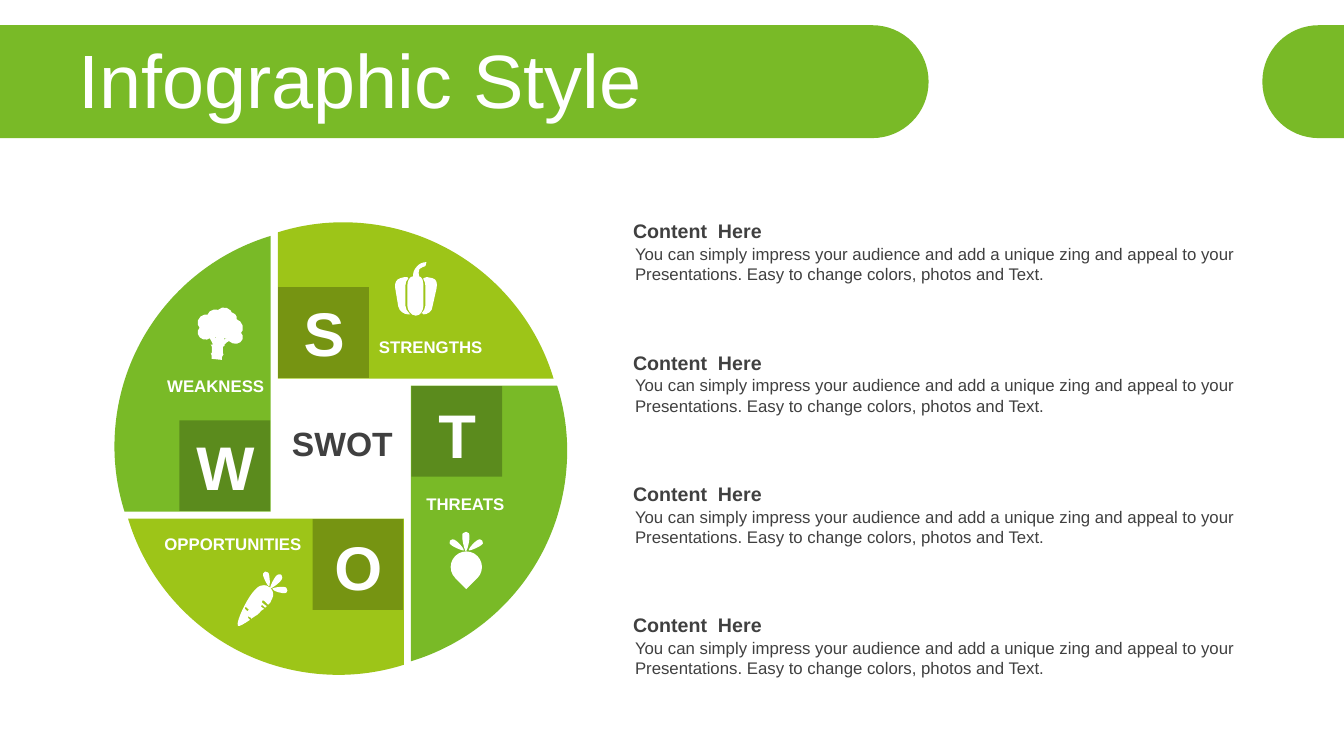
from dataclasses import dataclass

import lxml.etree
import pptx
import pptx.dml.color
import pptx.enum.shapes
import pptx.enum.text
import pptx.oxml.ns
import pptx.util

SHAPE = pptx.enum.shapes.MSO_SHAPE
ALIGN = pptx.enum.text.PP_ALIGN
ANCHOR = pptx.enum.text.MSO_ANCHOR
qn = pptx.oxml.ns.qn
inches = pptx.util.Inches


@dataclass(frozen=True)
class Theme:
    font: str = "Arial"
    green: str = "79BA27"
    lime: str = "9DC518"
    dark_green: str = "5B8B1D"
    olive: str = "769412"
    white: str = "FFFFFF"
    ink: str = "404040"
    title: int = 54
    letter: int = 44
    hub: int = 24
    heading: int = 14
    body: int = 12


THEME = Theme()
WIDTH, HEIGHT = 13.33, 7.5

# Outlines in hundredths of an inch: M move, L line, C curve
LEFT_BAND = "M 0 0 L 865 0 C 896 0 921 25 921 56 C 921 87 896 112 865 112 L 0 112"
RIGHT_BAND = "M 1333 0 L 1333 112 L 1308 112 C 1277 112 1252 87 1252 56 C 1252 25 1277 0 1308 0"
PETAL = ("M -62.5 -69.5 L -62.5 -214.5 C -42 -221 -20 -224.5 2 -224.5 "
         "C 101 -224.5 184 -159 211 -69.5")
CARROT = [
    "M 9 36 C 8 35 7 35 7 36 C 7 36 7 37 7 37 L 9 39 C 9 39 10 39 10 39 C 11 38 11 37 10 37 "
    "M 32 16 C 34 18 35 20 35 24 C 35 26 33 28 32 31 L 30 33 L 29 32 L 26 29 "
    "C 25 29 25 29 24 29 C 24 30 24 30 24 31 L 28 34 L 29 34 L 27 36 L 25 34 "
    "C 24 33 24 33 23 34 C 23 34 23 35 23 35 L 26 37 L 23 39 C 21 42 18 44 16 45 L 13 47 "
    "C 13 47 13 46 13 46 L 11 45 C 11 44 10 44 10 45 C 10 45 10 46 10 46 L 12 48 "
    "C 6 52 1 55 0 54 C -3 51 13 16 23 14 C 27 13 30 14 32 16",
    "M 40 3 C 43 2 44 4 44 6 C 44 10 33 17 32 17 C 31 16 37 3 40 3",
    "M 48 16 C 50 18 49 20 48 21 C 45 23 34 19 34 17 C 34 16 46 14 48 16",
    "M 30 1 C 28 -1 26 0 25 2 C 24 5 30 15 31 15 C 32 15 32 3 30 1",
]
BROCCOLI_STEM = [
    "M 26 24 C 26 27 26 30 26 32 C 28 31 29 30 32 29 C 33 30 34 31 35 32 C 30 33 27 36 26 38 "
    "C 26 38 26 38 27 38 C 26 38 26 39 25 39 L 25 46 C 25 46 25 46 26 46 C 24 48 24 50 24 52 "
    "L 14 51 C 14 48 14 47 13 45 C 14 45 14 45 14 46 C 14 43 15 38 13 37 L 15 37 "
    "C 15 36 14 33 10 28 L 15 26 C 17 28 17 30 18 31 L 20 23",
]
BROCCOLI_FLORETS = [
    (10, 16, 16, 14), (19, 17, 16, 14), (29, 22, 16, 14), (26, 11, 19, 18), (27, 5, 12, 11),
    (17, 0, 18, 19), (9, 2, 18, 17), (0, 7, 18, 17), (0, 18, 15, 14), (14, 16, 15, 12),
]
RADISH_LEAVES = [
    "M 12 2 C 14 0 17 0 18 2 C 20 5 17 19 15 20 C 14 20 10 5 12 2",
    "M 29 8 C 31 8 32 10 32 12 C 31 15 18 20 18 19 C 17 18 25 8 29 8",
    "M 2 8 C 0 8 -2 10 -1 12 C 0 15 13 20 13 19 C 14 18 6 8 2 8",
]
RADISH_ROOT = (0, 20, 31, 31)
PEPPER = [
    "M 12 24 C 12 19 14 14 18 14 L 23 14 C 27 14 28 19 28 24 L 28 43 C 28 48 25 53 21 53 "
    "L 20 53 C 16 53 12 48 12 43",
    "M 18 15 C 17 11 19 7 21 5 C 23 2 27 0 31 0 L 30 4 C 28 4 26 6 24 7 "
    "C 23 9 23 12 24 15 C 22 15 19 14 18 15",
    "M 11 15 L 12 15 L 13 16 C 11 18 10 21 10 24 L 10 43 C 10 46 12 49 14 51 L 15 52 L 13 52 "
    "C 9 52 4 49 3 44 L 0 26 C -1 21 1 17 5 16 L 9 15",
    "M 31 15 L 32 15 L 37 16 C 41 17 42 21 41 26 L 37 44 C 37 49 32 52 28 52 L 27 51 L 26 51 "
    "C 28 49 30 46 30 43 L 30 24 C 30 21 29 19 28 17 L 28 16",
]


def paint(shape, colour):
    shape.shadow.inherit = False
    shape.fill.solid()
    shape.fill.fore_color.rgb = pptx.dml.color.RGBColor.from_string(colour)
    shape.line.fill.background()


def preset(slide, kind, left, top, width, height, colour, turn=0):
    shape = slide.shapes.add_shape(kind, *map(inches, (left, top, width, height)))
    shape.rotation = turn
    paint(shape, colour)


def turned(x, y, quarters):
    for _ in range(quarters):
        x, y = -y, x
    return x, y


def outline(slide, drawing, left, top, colour, quarters=0):
    """Fill an M/L/C drawing, turned about its zero point, which lies at left, top."""
    contours, words = [], iter(drawing.split())
    for command in words:
        corners = [turned(float(next(words)) / 100, float(next(words)) / 100, quarters)
                   for _ in range(3 if command == "C" else 1)]
        segment = [(inches(left + x), inches(top + y)) for x, y in corners]
        if command == "M":
            contours.append([])
        contours[-1].append(segment)

    builder = slide.shapes.build_freeform(*contours[0][0][-1], scale=1.0)
    for number, segments in enumerate(contours):
        if number:
            builder.move_to(*segments[0][-1])
        builder.add_line_segments([segment[-1] for segment in segments[1:]], close=True)
    shape = builder.convert_to_shape()

    # Bend the straight segments that have control points
    pen = next(shape._element.iter(qn("a:path")))
    drawn = [segment for segments in contours for segment in segments[1:]]
    for line, segment in zip(pen.findall(qn("a:lnTo")), drawn):
        if len(segment) == 3:
            curve = lxml.etree.SubElement(pen, qn("a:cubicBezTo"))
            for x, y in segment:
                lxml.etree.SubElement(curve, qn("a:pt"), x=str(x - shape.left),
                                      y=str(y - shape.top))
            pen.replace(line, curve)
    paint(shape, colour)


def write(frame, words, size, colour, bold=False, align=ALIGN.LEFT, anchor=ANCHOR.TOP):
    frame.word_wrap = True
    frame.auto_size = pptx.enum.text.MSO_AUTO_SIZE.NONE
    frame.vertical_anchor = anchor
    frame.text = words
    line = frame.paragraphs[0]
    line.alignment = align
    font = line.runs[0].font
    font.name, font.size, font.bold = THEME.font, pptx.util.Pt(size), bold
    font.color.rgb = pptx.dml.color.RGBColor.from_string(colour)


def label(slide, box, *text, **style):
    write(slide.shapes.add_textbox(*map(inches, box)).text_frame, *text, **style)


def header(slide, top):
    for band in (LEFT_BAND, RIGHT_BAND):
        outline(slide, band, 0, top, THEME.green)
    # Title, brought in front of the bands
    title = slide.shapes.title
    title.left, title.top, title.width, title.height = map(
        inches, (0.68, top + 0.19, 12.33, 0.79))
    write(title.text_frame, "Infographic Style", THEME.title, THEME.white, anchor=ANCHOR.MIDDLE)
    title.text_frame.paragraphs[0].line_spacing = 0.9
    slide.shapes._spTree.append(title._element)


def swot_wheel(slide, x, y):
    """Four petals, each a quarter turn on from the last, around x, y."""
    for quarters in range(4):
        outline(slide, PETAL, x, y, (THEME.lime, THEME.green)[quarters % 2], quarters)

    # Letter squares
    side = 0.9
    for quarters, (letter, drop) in enumerate([("S", 0), ("T", 0.03), ("O", 0.02), ("W", 0.01)]):
        dx, dy = turned(-0.17, -1.15, quarters)
        preset(slide, SHAPE.RECTANGLE, x + dx - side / 2, y + dy - side / 2, side, side,
               (THEME.olive, THEME.dark_green)[quarters % 2])
        label(slide, (x + dx - 0.4, y + dy - 0.42 + drop, 0.81, 0.84), letter,
              THEME.letter, THEME.white, bold=True, align=ALIGN.CENTER)

    # Petal names and hub
    for name, dx, dy, width, align in [("STRENGTHS", 0.28, -1.16, 1.76, ALIGN.LEFT),
                                       ("WEAKNESS", -2.29, -0.77, 1.63, ALIGN.RIGHT),
                                       ("OPPORTUNITIES", -1.99, 0.8, 1.7, ALIGN.RIGHT),
                                       ("THREATS", 0.75, 0.4, 1.55, ALIGN.LEFT)]:
        label(slide, (x + dx, y + dy, width, 0.31), name, THEME.body, THEME.white,
              bold=True, align=align)
    label(slide, (x - 0.63, y - 0.3, 1.29, 0.52), "SWOT", THEME.hub, THEME.ink,
          bold=True, align=ALIGN.CENTER)

    # Vegetable icons
    for drawings, kind, solids, turn, dx, dy in [
            (CARROT, None, [], 0, -1.02, 1.22),
            (BROCCOLI_STEM, SHAPE.OVAL, BROCCOLI_FLORETS, 17.1, -1.42, -1.4),
            (RADISH_LEAVES, SHAPE.TEAR, [RADISH_ROOT], 135, 1.09, 0.82),
            (PEPPER, None, [], 0, 0.54, -1.85)]:
        for drawing in drawings:
            outline(slide, drawing, x + dx, y + dy, THEME.white)
        for left, top, width, height in solids:
            preset(slide, kind, x + dx + left / 100, y + dy + top / 100,
                   width / 100, height / 100, THEME.white, turn)


def content_list(slide, left, top, width, height, count=4, block=0.75):
    pitch = (height - block) / (count - 1)
    for row in range(count):
        y = top + row * pitch
        label(slide, (left, y, width, 0.34), "Content  Here", THEME.heading, THEME.ink,
              bold=True, anchor=ANCHOR.MIDDLE)
        label(slide, (left + 0.02, y + 0.25, width - 0.02, 0.5),
              "You can simply impress your audience and add a unique zing and appeal to your "
              "Presentations. Easy to change colors, photos and Text.", THEME.body, THEME.ink)


def main():
    deck = pptx.Presentation()
    deck.slide_width, deck.slide_height = inches(WIDTH), inches(HEIGHT)
    slide = deck.slides.add_slide(deck.slide_layouts.get_by_name("Title Only"))
    header(slide, 0.25)
    swot_wheel(slide, 3.38, 4.45)
    content_list(slide, 6.18, 2.12, 6.32, 4.66)
    deck.save("out.pptx")


if __name__ == "__main__":
    main()
